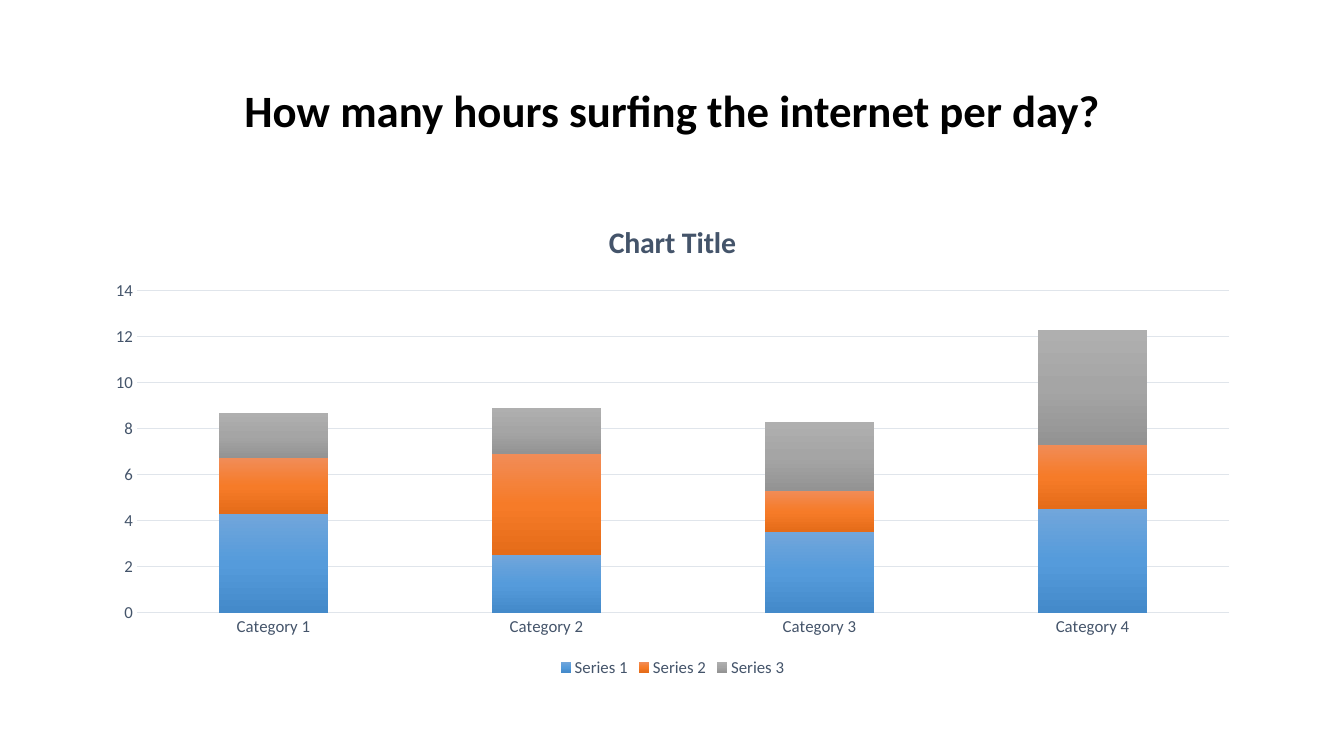
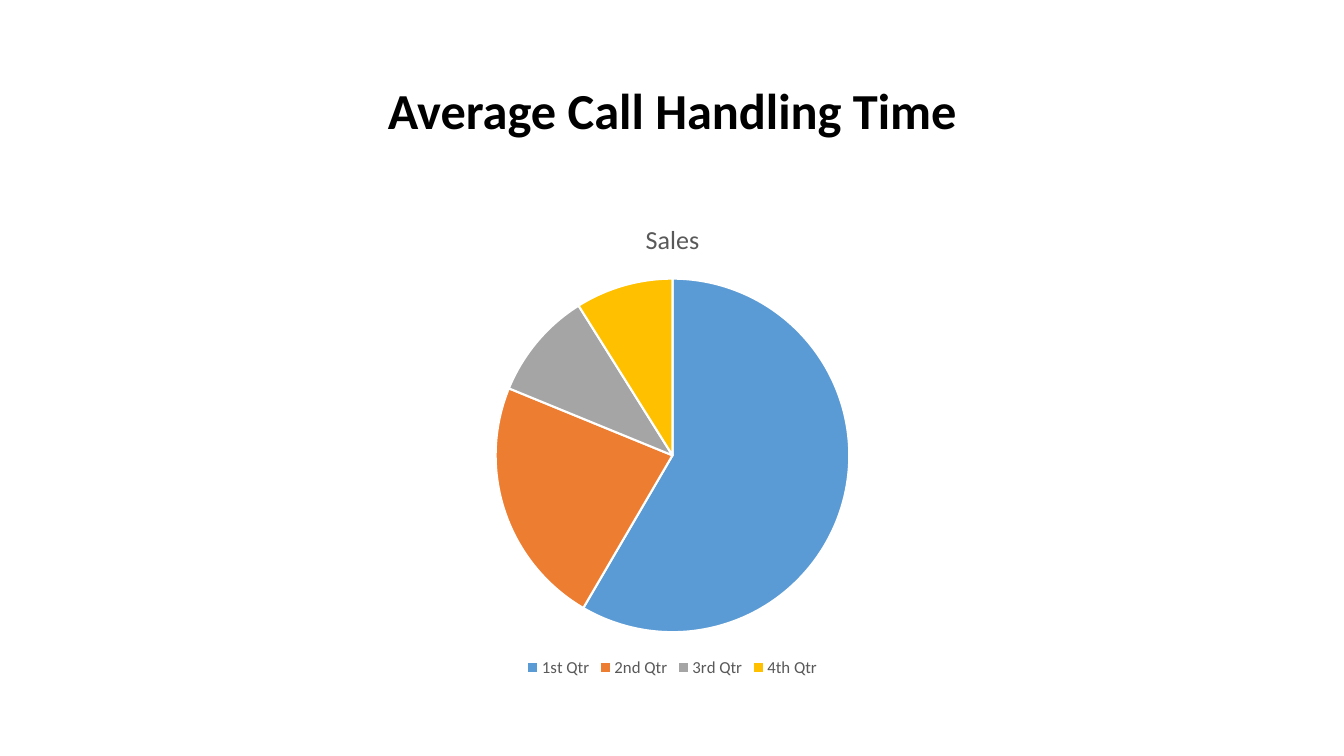
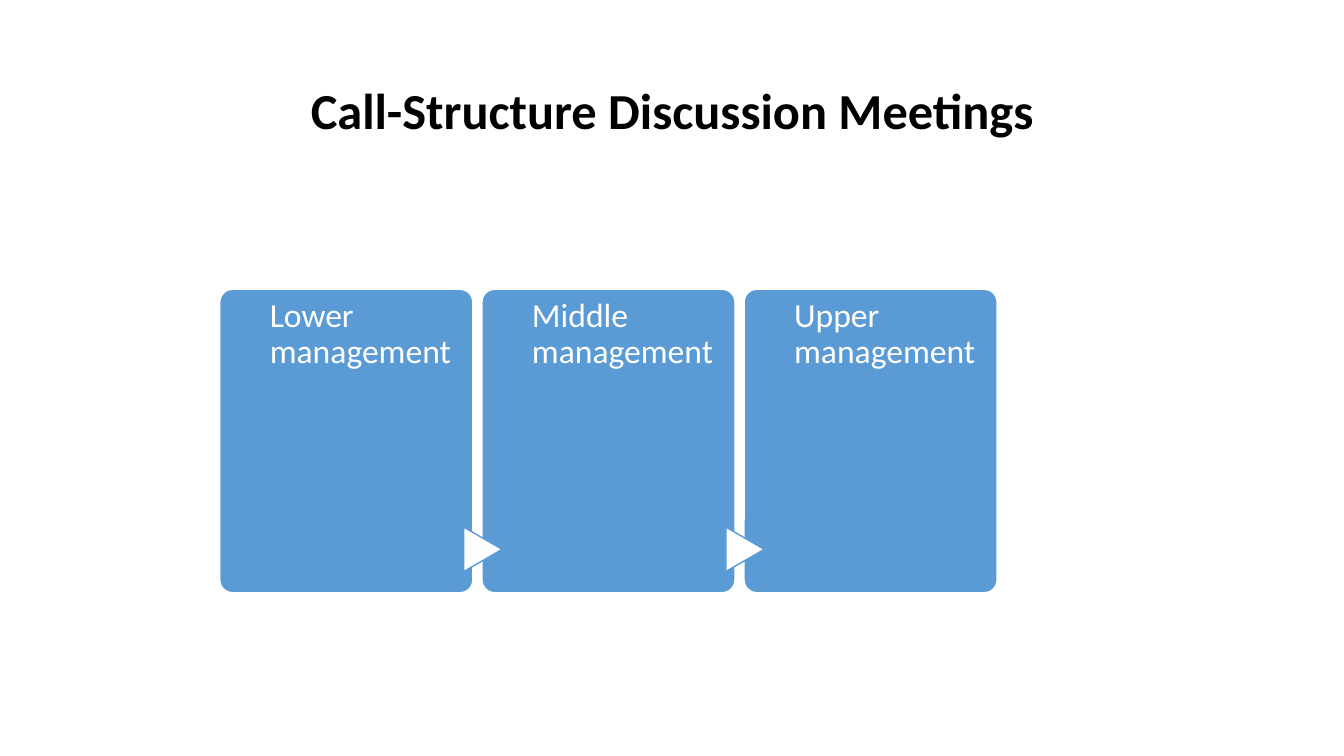
from copy import deepcopy

from pptx import Presentation
from pptx.chart.data import CategoryChartData
from pptx.dml.color import RGBColor
from pptx.enum.chart import XL_CHART_TYPE as ChartType, XL_LEGEND_POSITION as LegendPos
from pptx.enum.chart import XL_TICK_MARK as TickMark
from pptx.enum.shapes import MSO_SHAPE as Shape
from pptx.enum.text import MSO_ANCHOR as Anchor, PP_ALIGN as Align
from pptx.oxml.ns import qn
from pptx.util import Inches, Pt

# Shared look
BLUE, ORANGE, GRAY, GOLD = "5B9BD5", "ED7D31", "A5A5A5", "FFC000"
WHITE, BLACK, SLATE, DARK_GRAY, GRID = "FFFFFF", "000000", "44546A", "595959", "E0E5EB"
FONT = "Calibri"
CHART_BOX = [Inches(n) for n in (0.92, 2, 11.5, 4.76)]


def paint(target, color, **values):
    """Colour a fill, line or font, then set its other format values."""
    if hasattr(target, "solid"):
        target.solid()
        target.fore_color.rgb = RGBColor.from_string(color)
    elif hasattr(target, "fill") and not hasattr(target, "name"):
        paint(target.fill, color)
    else:
        target.color.rgb = RGBColor.from_string(color)
    for name, value in values.items():
        setattr(target, name, value)


def style_chart(chart, title, color, title_size, bold):
    """Give a chart its fonts, title and bottom legend."""
    paint(chart.font, color, name=FONT, size=Pt(12))
    chart.has_title = True
    chart.chart_title.text_frame.text = title
    heading = chart.chart_title.text_frame.paragraphs[0].runs[0]
    paint(heading.font, color, name=FONT, size=Pt(title_size), bold=bold)
    chart.has_legend = True
    for name, value in {"position": LegendPos.BOTTOM, "include_in_layout": False}.items():
        setattr(chart.legend, name, value)
    paint(chart.legend.font, color, name=FONT, size=Pt(12))


prs = Presentation()
prs.slide_width, prs.slide_height = Inches(13.33), Inches(7.5)

# Slides with their titles
slides = []
for wording, size in [
    ("How many hours surfing the internet per day?", 32),
    ("Average Call Handling Time", 36),
    ("Call-Structure Discussion Meetings", 36),
]:
    slide = prs.slides.add_slide(prs.slide_layouts[6])
    title_frame = slide.shapes.add_textbox(
        Inches(0.92), Inches(0.4), Inches(11.5), Inches(1.45)).text_frame
    title_frame.word_wrap = True
    title_frame.vertical_anchor = Anchor.MIDDLE
    heading = title_frame.paragraphs[0]
    heading.text = wording
    heading.alignment = Align.CENTER
    heading.line_spacing = 0.9
    paint(heading.runs[0].font, BLACK, name=FONT, size=Pt(size), bold=True)
    slides.append(slide)
hours_slide, calls_slide, meetings_slide = slides

# Slide 1: stacked columns
hours_data = CategoryChartData()
hours_data.categories = [f"Category {n}" for n in range(1, 5)]
hours_data.add_series("Series 1", (4.3, 2.5, 3.5, 4.5))
hours_data.add_series("Series 2", (2.4, 4.4, 1.8, 2.8))
hours_data.add_series("Series 3", (2, 2, 3, 5))
hours = hours_slide.shapes.add_chart(ChartType.COLUMN_STACKED, *CHART_BOX, hours_data).chart
style_chart(hours, "Chart Title", SLATE, 21.3, True)

columns = hours.plots[0]
for name, value in {"gap_width": 150, "overlap": 100, "vary_by_categories": False}.items():
    setattr(columns, name, value)

gradients = [
    ("71A6DB", "559BDB", "448ACA"),
    ("F18C57", "F67B28", "E56C19"),
    ("AFAFAF", "A5A5A5", "939393"),
]
for series, shades in zip(columns.series, gradients):
    fill = series.format.fill
    fill.gradient()
    fill.gradient_angle = 270
    stop_list = next(series._element.iter(qn("a:gsLst")))
    stop_list.append(deepcopy(stop_list[0]))
    for stop, shade, position in zip(fill.gradient_stops, shades, (0, 0.5, 1)):
        stop.color.rgb = RGBColor.from_string(shade)
        stop.position = position

for axis in (hours.category_axis, hours.value_axis):
    axis.major_tick_mark = axis.minor_tick_mark = TickMark.NONE
    paint(axis.tick_labels.font, SLATE, name=FONT, size=Pt(12))
paint(hours.category_axis.format.line, GRID, width=Pt(0.75))
hours.value_axis.format.line.fill.background()
paint(hours.value_axis.major_gridlines.format.line, GRID, width=Pt(0.75))

# Slide 2: pie
calls_data = CategoryChartData()
calls_data.categories = ["1st Qtr", "2nd Qtr", "3rd Qtr", "4th Qtr"]
calls_data.add_series("Sales", (59, 23, 10, 9))
calls = calls_slide.shapes.add_chart(ChartType.PIE, *CHART_BOX, calls_data).chart
style_chart(calls, "Sales", DARK_GRAY, 18.6, False)
calls.plots[0].vary_by_categories = True
for quarter, color in enumerate((BLUE, ORANGE, GRAY, GOLD)):
    wedge = calls.plots[0].series[0].points[quarter].format
    paint(wedge.fill, color)
    paint(wedge.line, WHITE, width=Pt(1.5))

# Slide 3: management levels, left to right
FIRST_LEFT, TOP, PITCH = 2.18, 2.87, 2.6
levels = ("Lower management", "Middle management", "Upper management")
for number, level in enumerate(levels):
    left = FIRST_LEFT + number * PITCH
    card = meetings_slide.shapes.add_shape(
        Shape.ROUNDED_RECTANGLE, Inches(left), Inches(TOP), Inches(2.51), Inches(3.01))
    card.adjustments[0] = 0.05
    card.shadow.inherit = False
    paint(card.fill, BLUE)
    paint(card.line, WHITE, width=Pt(1))
    frame_format = {
        "margin_left": Inches(0.46), "margin_top": Inches(0.05),
        "margin_right": Inches(0.1), "margin_bottom": 0,
        "vertical_anchor": Anchor.TOP, "word_wrap": True,
    }
    for name, value in frame_format.items():
        setattr(card.text_frame, name, value)
    label = card.text_frame.paragraphs[0]
    label.text = level
    label.alignment = Align.LEFT
    label.line_spacing = 0.9
    paint(label.runs[0].font, WHITE, name=FONT, size=Pt(24))

    # Pointer from the card before
    if number:
        pointer = meetings_slide.shapes.add_shape(
            Shape.FLOWCHART_EXTRACT, Inches(left - 0.21), Inches(5.26), Inches(0.44), Inches(0.38))
        pointer.rotation = 90
        pointer.shadow.inherit = False
        paint(pointer.fill, WHITE)
        paint(pointer.line, BLUE, width=Pt(1))

prs.save("out.pptx")
